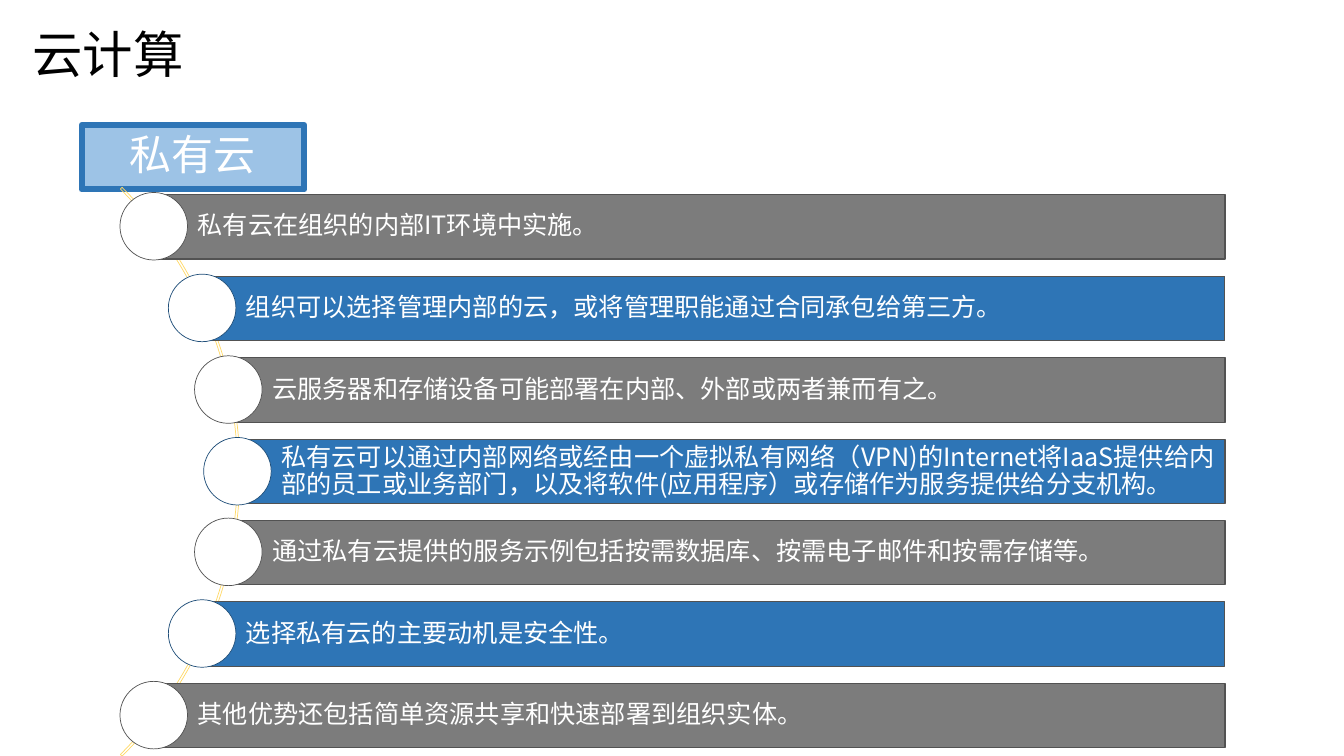
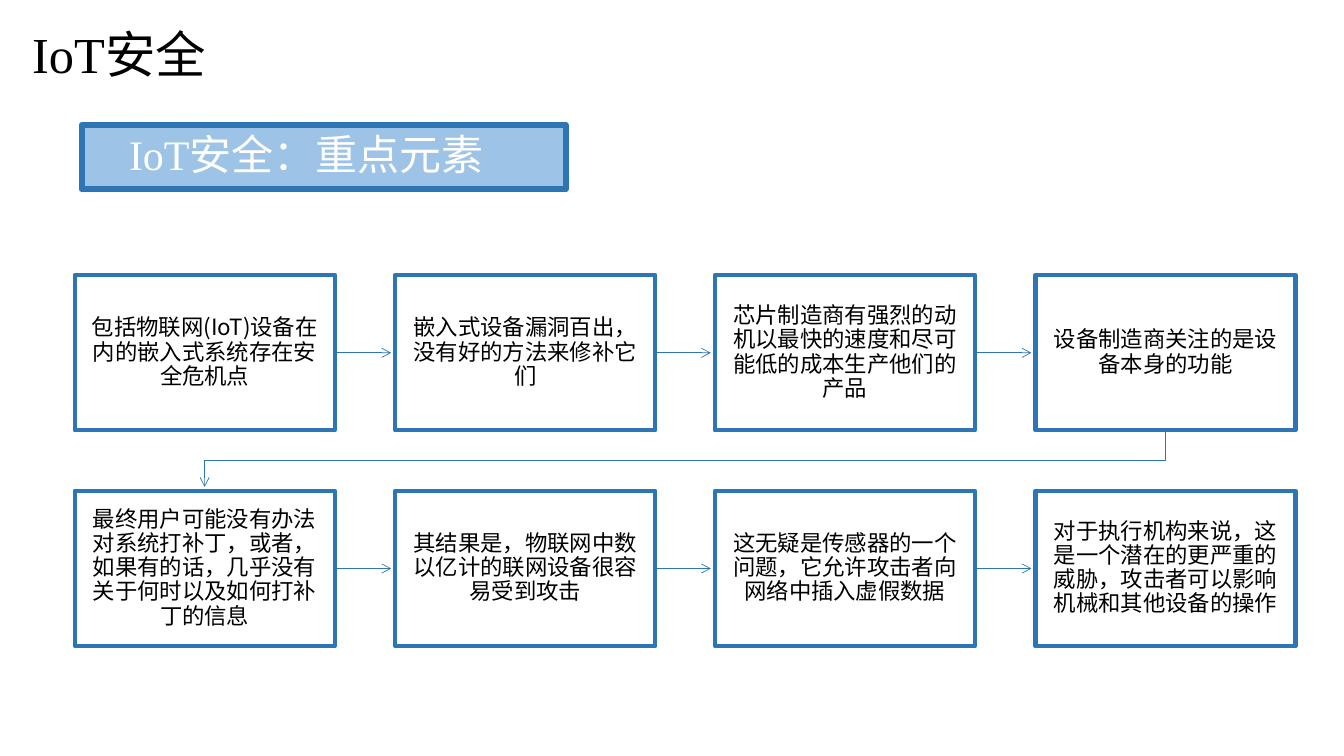
from math import sqrt
from lxml.etree import SubElement
from pptx import Presentation
from pptx.dml.color import RGBColor
from pptx.enum.shapes import MSO_CONNECTOR, MSO_SHAPE
from pptx.enum.text import MSO_ANCHOR, PP_ALIGN
from pptx.oxml.ns import qn
from pptx.util import Pt

PX = 9144  # 100 px to the inch
CJK, SERIF = "Noto Sans CJK SC", "Times New Roman"
COLORS = {
    "black": "000000", "white": "FFFFFF", "grey": "7C7C7C", "dark grey": "525252",
    "blue": "2E75B6", "light blue": "9DC3E6", "navy": "1F4E79", "gold": "FFD966",
}


def style(shape, line, width, fill=None):
    shape.shadow.inherit = False
    if fill:
        shape.fill.solid()
        shape.fill.fore_color.rgb = RGBColor.from_string(COLORS[fill])
    else:
        shape.fill.background()
    shape.line.color.rgb = RGBColor.from_string(COLORS[line])
    shape.line.width = Pt(width)


def write(shape, text, size, color, insets, latin=CJK, align=PP_ALIGN.LEFT, spacing=0.9):
    """Fill the shape with one run; insets are left/right and top/bottom px."""
    frame = shape.text_frame
    frame.word_wrap = True
    frame.vertical_anchor = MSO_ANCHOR.MIDDLE
    frame.margin_left = frame.margin_right = insets[0] * PX
    frame.margin_top = frame.margin_bottom = insets[1] * PX
    paragraph = frame.paragraphs[0]
    paragraph.alignment = align
    paragraph.line_spacing = spacing
    run = paragraph.add_run()
    run.text = text
    run.font.size = Pt(size)
    run.font.name = latin
    run.font.color.rgb = RGBColor.from_string(COLORS[color])
    SubElement(run.font._element, qn("a:ea"), typeface=CJK)


prs = Presentation()
prs.slide_width, prs.slide_height = 1333 * PX, 750 * PX

# Title and banner of both slides
slides = []
for heading, banner_text, banner_width, latin in [
    ("云计算", "私有云", 221, CJK),
    ("IoT安全", "IoT安全：重点元素", 480, SERIF),
]:
    slide = prs.slides.add_slide(prs.slide_layouts[5])
    title = slide.shapes.title
    title.left, title.top, title.width, title.height = 21 * PX, 0, 591 * PX, 106 * PX
    write(title, heading, 36, "black", (11, 6), latin, spacing=1.0)
    banner = slide.shapes.add_shape(
        MSO_SHAPE.RECTANGLE, 81 * PX, 124 * PX, banner_width * PX, 64 * PX)
    style(banner, "blue", 4.33, "light blue")
    write(banner, banner_text, 30, "white", (47, 0), latin)
    slides.append(slide)
cloud, iot = slides

# Private cloud: bars fanned along an arc
ARC_X, ARC_Y, ARC_SIZE = -560, 69, 798
arc = cloud.shapes.add_shape(
    MSO_SHAPE.BLOCK_ARC, ARC_X * PX, ARC_Y * PX, ARC_SIZE * PX, ARC_SIZE * PX)
for position, value in enumerate((189, 27, 0.003)):
    arc.adjustments[position] = value
style(arc, "gold", 0.5)

PRIVATE_CLOUD = [
    "私有云在组织的内部IT环境中实施。",
    "组织可以选择管理内部的云，或将管理职能通过合同承包给第三方。",
    "云服务器和存储设备可能部署在内部、外部或两者兼而有之。",
    "私有云可以通过内部网络或经由一个虚拟私有网络（VPN)的Internet将IaaS提供给内部的员工或业务部门，"
    "以及将软件(应用程序）或存储作为服务提供给分支机构。",
    "通过私有云提供的服务示例包括按需数据库、按需电子邮件和按需存储等。",
    "选择私有云的主要动机是安全性。",
    "其他优势还包括简单资源共享和快速部署到组织实体。",
]
BAR_RIGHT, BAR_HEIGHT, BAR_STEP = 1215, 64, 80.8
DISC, DISC_ORBIT = 67, 396.5
for row, point in enumerate(PRIVATE_CLOUD):
    rise = (row - len(PRIVATE_CLOUD) // 2) * BAR_STEP
    left = round(ARC_X + ARC_SIZE / 2 + sqrt(DISC_ORBIT ** 2 - rise ** 2))
    top = round(435.5 + rise)
    bar_fill, disc_line = (("grey", "dark grey"), ("blue", "navy"))[row % 2]
    bar = cloud.shapes.add_shape(
        MSO_SHAPE.RECTANGLE, left * PX, top * PX, (BAR_RIGHT - left) * PX, BAR_HEIGHT * PX)
    style(bar, "dark grey", 0.75, bar_fill)
    write(bar, point, 18, "white", (5, 5))
    bar.text_frame.margin_left = 43 * PX
    disc = cloud.shapes.add_shape(
        MSO_SHAPE.OVAL, (left - 34) * PX, (top - 2) * PX, DISC * PX, DISC * PX)
    style(disc, disc_line, 0.5, "white")

# IoT security: two rows of four steps
IOT_STEPS = [
    "包括物联网(IoT)设备在内的嵌入式系统存在安全危机点",
    "嵌入式设备漏洞百出，没有好的方法来修补它们",
    "芯片制造商有强烈的动机以最快的速度和尽可能低的成本生产他们的产品",
    "设备制造商关注的是设备本身的功能",
    "最终用户可能没有办法对系统打补丁，或者，如果有的话，几乎没有关于何时以及如何打补丁的信息",
    "其结果是，物联网中数以亿计的联网设备很容易受到攻击",
    "这无疑是传感器的一个问题，它允许攻击者向网络中插入虚假数据",
    "对于执行机构来说，这是一个潜在的更严重的威胁，攻击者可以影响机械和其他设备的操作",
]
COLUMNS, STEP_WIDTH, STEP_HEIGHT = 4, 258, 154
lefts = [round(74 + column * 317.6) for column in range(COLUMNS)]
tops = [273, 487]
arrows = []
for number, text in enumerate(IOT_STEPS):
    row, column = divmod(number, COLUMNS)
    left, top = lefts[column], tops[row]
    step = iot.shapes.add_shape(
        MSO_SHAPE.RECTANGLE, left * PX, top * PX, STEP_WIDTH * PX, STEP_HEIGHT * PX)
    style(step, "blue", 3)
    write(step, text, 16, "black", (12, 12), align=PP_ALIGN.CENTER)
    if column < COLUMNS - 1:
        middle = top + STEP_HEIGHT // 2
        arrow = iot.shapes.add_connector(
            MSO_CONNECTOR.STRAIGHT, (left + STEP_WIDTH) * PX, middle * PX,
            (lefts[column + 1] - 4) * PX, middle * PX)
        arrow.begin_connect(step, 3)
        arrow.line.color.rgb = RGBColor.from_string(COLORS["blue"])
        arrow.line.width = Pt(0.5)
        SubElement(arrow._element.spPr, qn("a:effectLst"))
        arrows.append(arrow)

# Return path from the last step of the first row to the second row
start_x, end_x = (left + STEP_WIDTH // 2 for left in (lefts[-1], lefts[0]))
path_builder = iot.shapes.build_freeform(start_x, tops[0] + STEP_HEIGHT, scale=PX)
path_builder.add_line_segments(
    [(start_x, 457), (end_x, 457), (end_x, tops[1] - 4)], close=False)
row_return = path_builder.convert_to_shape()
style(row_return, "blue", 0.5)
arrows.append(row_return)
for arrow in arrows:
    SubElement(arrow.line._get_or_add_ln(), qn("a:tailEnd"), type="arrow")

prs.save("out.pptx")
